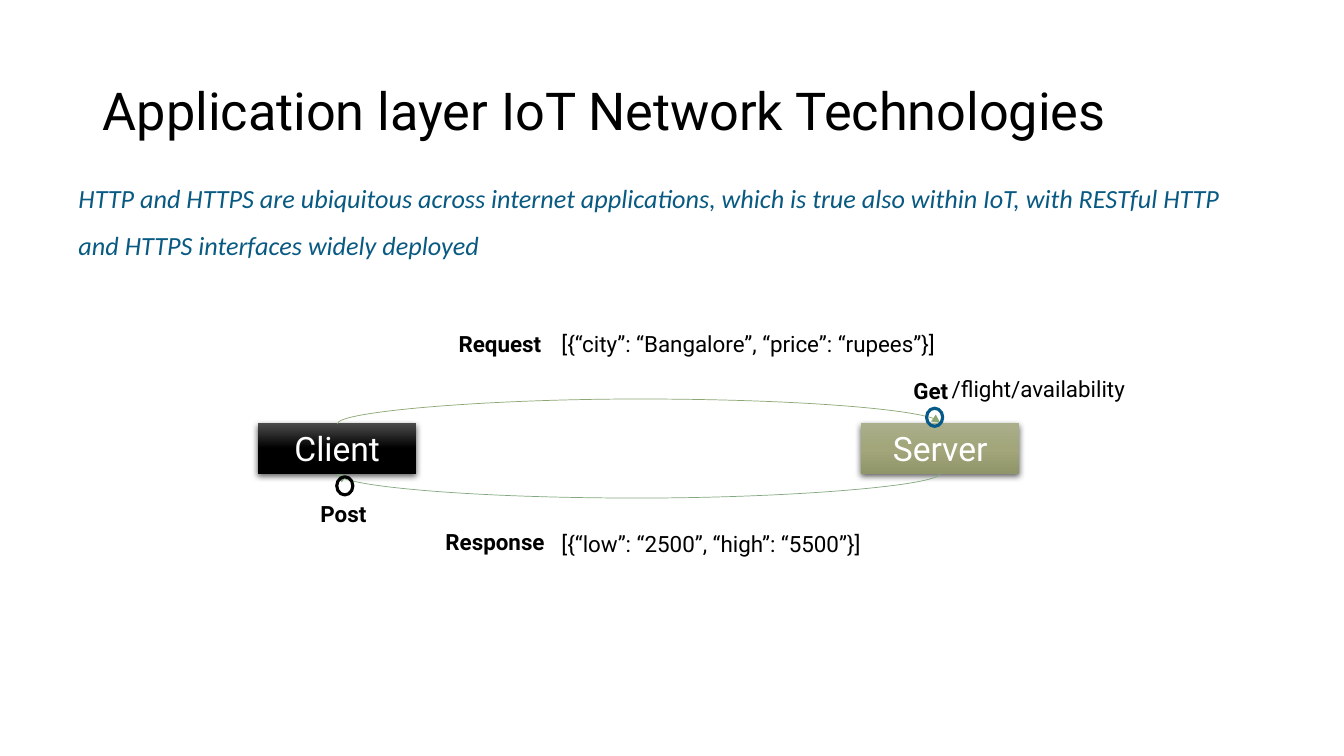
from pptx import Presentation
from pptx.dml.color import RGBColor
from pptx.enum.shapes import MSO_CONNECTOR as Link, MSO_SHAPE as Form
from pptx.enum.text import MSO_ANCHOR as Anchor, PP_ALIGN as Align
from pptx.oxml import parse_xml
from pptx.oxml.ns import nsdecls, qn
from pptx.util import Inches, Pt

INK = {"black": "000000", "white": "FFFFFF", "blue": "095A82", "ring": "055A88",
       "ask": "8CA772", "reply": "83A980"}

TITLE = "Application layer IoT Network Technologies"
LEAD = ("HTTP and HTTPS are ubiquitous across internet applications, which is true "
        "also within IoT, with RESTful HTTP and HTTPS interfaces widely deployed")

# name, left, gradient stops
NODES = [
    ("Client", 2.56, {0: "4B4B4B", 50: "000000", 100: "000000"}),
    ("Server", 8.54, {0: "AAAE8B", 50: "A2A67A", 100: "91966A"}),
]
# text, left, top, width, bold
LABELS = [
    ("Request", 4.45, 3.23, 1.05, True),
    ("Response", 4.32, 5.19, 1.29, True),
    ("Get", 8.96, 3.69, 1.29, True),
    ("Post", 3.08, 4.91, 1.29, True),
    ("[{“city”: “Bangalore”, “price”: “rupees”}]", 5.47, 3.23, 4.01, False),
    ("[{“low”: “2500”, “high”: “5500”}]", 5.47, 5.21, 4.01, False),
    ("/flight/availability", 9.34, 3.67, 4.01, False),
]
RINGS = [(3.34, 4.73, "black"), (9.19, 4.05, "ring")]

NODE_W, NODE_H, NODE_TOP = 1.57, 0.5, 4.2
RING_W, RING_H = 0.16, 0.18
SPAN, THIN, BULGE = 5.98, 0.01, 0.25
MID = NODES[0][1] + (NODE_W + SPAN) / 2
# colour, height of the ends, bulges upward
CURVES = [("ask", NODE_TOP, True), ("reply", NODE_TOP + NODE_H, False)]

deck = Presentation()
deck.slide_width, deck.slide_height = Inches(13.33), Inches(7.5)
slide = deck.slides.add_slide(deck.slide_layouts[6])
shapes = slide.shapes


def box(*sides):
    return [Inches(side) for side in sides]


def write(shape, text, color="black", face="Roboto", gap=None, align=Align.LEFT,
          anchor=Anchor.TOP, **style):
    frame = shape.text_frame
    frame.word_wrap, frame.vertical_anchor = True, anchor
    para = frame.paragraphs[0]
    para.alignment = align
    if gap:
        para.line_spacing = gap
    run = para.add_run()
    run.text = text
    run.font.name = face
    run.font.color.rgb = RGBColor.from_string(INK[color])
    for key, value in style.items():
        setattr(run.font, key, value)


def shade(shape, stops):
    """Give the shape a vertical gradient and a soft shadow below."""
    marks = "".join(f'<a:gs pos="{pos * 1000}"><a:srgbClr val="{tone}"/></a:gs>'
                    for pos, tone in stops.items())
    props = shape.element.spPr
    props.insert(2, parse_xml(
        f'<a:gradFill {nsdecls("a")} rotWithShape="1"><a:gsLst>{marks}</a:gsLst>'
        '<a:lin ang="5400000" scaled="0"/></a:gradFill>'))
    shape.shadow.inherit = False
    props.find(qn("a:effectLst")).append(parse_xml(
        f'<a:outerShdw {nsdecls("a")} blurRad="{Pt(4.5)}" dist="{Pt(1.5)}" '
        'dir="5400000" algn="ctr" rotWithShape="0"><a:srgbClr val="000000">'
        '<a:alpha val="63000"/></a:srgbClr></a:outerShdw>'))


def curve(color, level, up):
    """Draw a thin upright connector turned a quarter, so that it arches."""
    left, top = MID - THIN / 2, level - SPAN / 2
    ends = box(left, top, left + THIN, top + SPAN)
    if up:
        ends = ends[2:] + ends[:2]
    wire = shapes.add_connector(Link.CURVE, *ends)
    wire.line.width = Pt(0.5)
    wire.line.color.rgb = RGBColor.from_string(INK[color])
    props = wire._element.spPr
    props.find(qn("a:xfrm")).set("rot", "5400000")
    bend = round(BULGE / THIN * 100000)
    props.find(qn("a:prstGeom")).find(qn("a:avLst")).append(parse_xml(
        f'<a:gd {nsdecls("a")} name="adj1" fmla="val {bend}"/>'))
    props.find(qn("a:ln")).append(parse_xml(
        f'<a:tailEnd {nsdecls("a")} type="triangle"/>'))
    props.append(parse_xml(f'<a:effectLst {nsdecls("a")}/>'))


write(shapes.add_textbox(*box(0.92, 0.4, 11.5, 1.45)), TITLE,
      gap=0.9, anchor=Anchor.MIDDLE, size=Pt(37.3))
write(shapes.add_textbox(*box(0.68, 1.6, 11.81, 1)), LEAD, "blue", "Calibri",
      gap=1.5, size=Pt(18.7), italic=True)

for name, left, stops in NODES:
    node = shapes.add_shape(Form.RECTANGLE, *box(left, NODE_TOP, NODE_W, NODE_H))
    shade(node, stops)
    node.line.fill.background()
    write(node, name, "white", align=Align.CENTER, anchor=Anchor.MIDDLE, size=Pt(24))

for item in CURVES:
    curve(*item)

for left, top, color in RINGS:
    ring = shapes.add_shape(Form.OVAL, *box(left, top, RING_W, RING_H))
    ring.shadow.inherit = False
    ring.fill.background()
    ring.line.width = Pt(2.25)
    ring.line.color.rgb = RGBColor.from_string(INK[color])

for text, left, top, width, bold in LABELS:
    write(shapes.add_textbox(*box(left, top, width, 0.37)), text,
          size=Pt(16), bold=bold)

deck.save("out.pptx")
